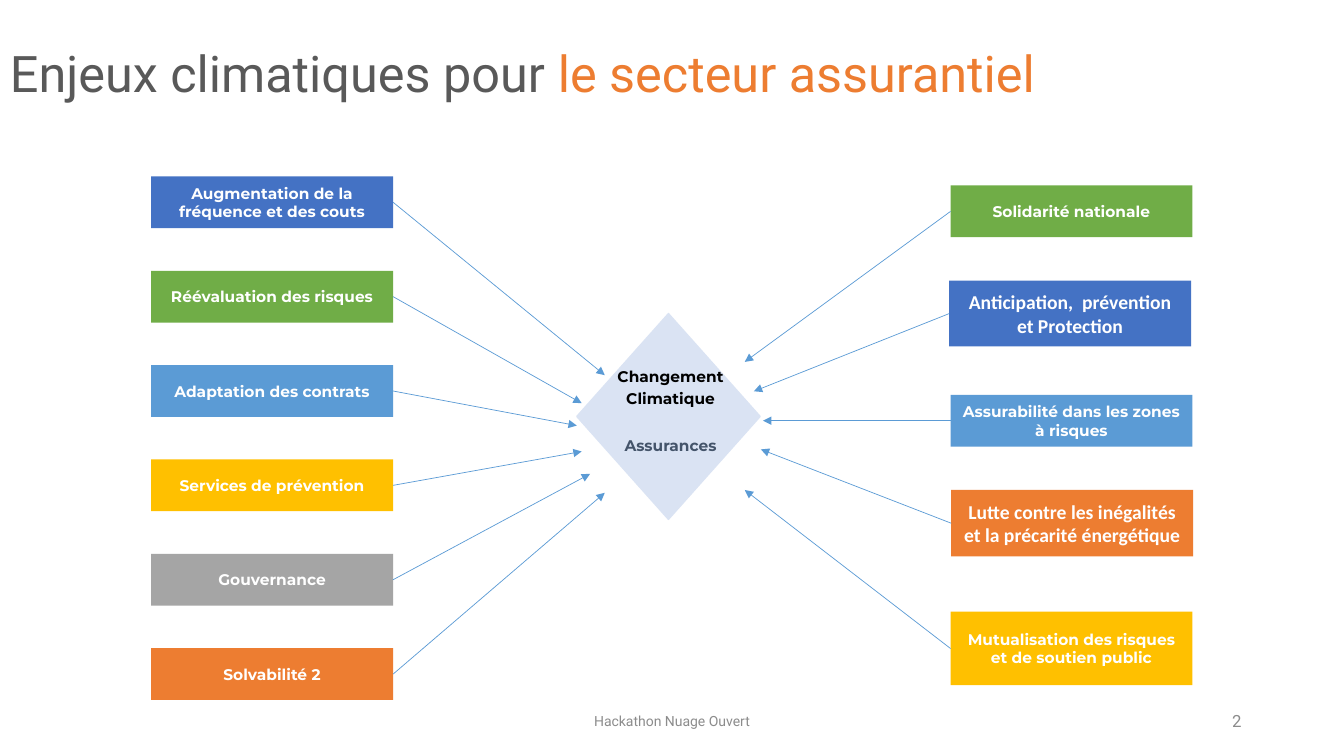
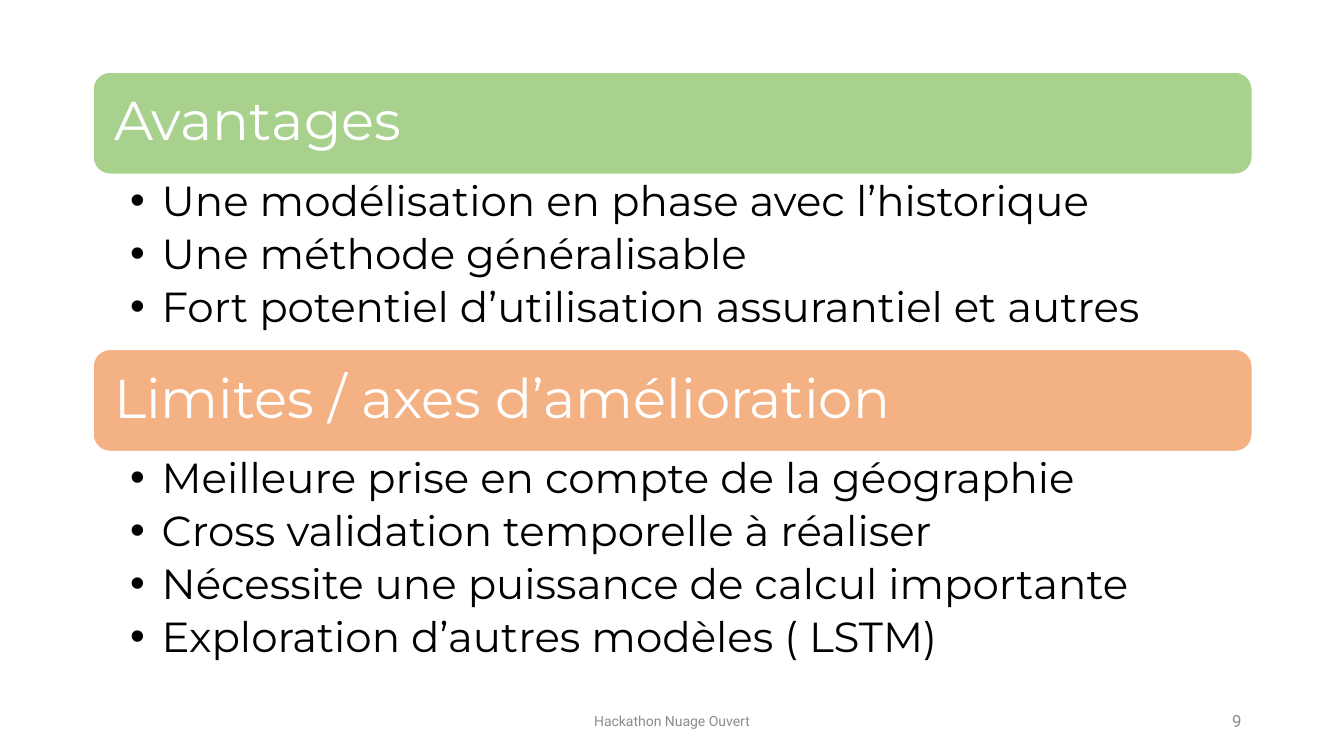
"""Build two slides on climate issues for the insurance sector."""
from lxml import etree
from pptx import Presentation
from pptx.dml.color import RGBColor
from pptx.enum.shapes import MSO_CONNECTOR, MSO_SHAPE
from pptx.enum.text import MSO_ANCHOR, PP_ALIGN
from pptx.oxml.ns import qn
from pptx.util import Pt

RECTANGLE, ROUNDED, DIAMOND = MSO_SHAPE.RECTANGLE, MSO_SHAPE.ROUNDED_RECTANGLE, MSO_SHAPE.DIAMOND
STRAIGHT = MSO_CONNECTOR.STRAIGHT
LEFT, CENTER, RIGHT = PP_ALIGN.LEFT, PP_ALIGN.CENTER, PP_ALIGN.RIGHT
TOP, MIDDLE = MSO_ANCHOR.TOP, MSO_ANCHOR.MIDDLE
LEFT_SIDE, RIGHT_SIDE = 1, 3

COLORS = {
    "white": "FFFFFF", "black": "000000", "title": "595959", "footer": "8C8C8C",
    "blue": "4472C4", "green": "70AD47", "sky": "5B9BD5", "yellow": "FFC000",
    "gray": "A5A5A5", "orange": "ED7D31", "pale_blue": "DAE3F3", "slate": "44546A",
    "light_green": "A9D18E", "light_orange": "F4B183",
}
BODY_FONT, TITLE_FONT, ALTERNATE_FONT = "Montserrat", "Roboto", "Calibri"
FOOTER = "Hackathon Nuage Ouvert"

BOX_WIDTH, BOX_HEIGHT = 172.8, 37
LEFT_BOX_LEFT, LEFT_BOX_TOP, LEFT_BOX_STEP = 108, 126, 67.4
LEFT_BOXES = [
    ("Augmentation de la fréquence et des couts", "blue", (432, 268)),
    ("Réévaluation des risques", "green", (415.5, 288)),
    ("Adaptation des contrats", "sky", (412, 304)),
    ("Services de prévention", "yellow", (415.5, 322.5)),
    ("Gouvernance", "gray", (421.5, 338.5)),
    ("Solvabilité 2", "orange", (432, 352)),
]
BOLD_LABEL = {"font": BODY_FONT, "size": 11}
LARGE_LABEL = {"font": ALTERNATE_FONT, "size": 14}
RIGHT_BOXES = [
    ("Solidarité nationale", "green", (679, 132.5, 37), (532, 258.5), BOLD_LABEL),
    ("Anticipation,  prévention et Protection", "blue", (678, 200.5, 47), (538.5, 279.5), LARGE_LABEL),
    ("Assurabilité dans les zones à risques", "sky", (679, 282, 37), (545, 300.5), BOLD_LABEL),
    ("Lutte contre les inégalités et la précarité énergétique", "orange", (679.5, 350, 47.5),
     (543.5, 321), LARGE_LABEL),
    ("Mutualisation des risques et de soutien public", "yellow", (679, 437, 52.5), (532, 350), BOLD_LABEL),
]

BAND_LEFT, BAND_TOP, BAND_WIDTH, BAND_HEIGHT, BAND_STEP = 66.5, 51.5, 828, 73, 198
SECTIONS = [
    ("Avantages", "light_green", [
        "Une modélisation en phase avec l’historique",
        "Une méthode généralisable",
        "Fort potentiel d’utilisation assurantiel et autres",
    ]),
    ("Limites / axes d’amélioration", "light_orange", [
        "Meilleure prise en compte de la géographie",
        "Cross validation temporelle à réaliser",
        "Nécessite une puissance de calcul importante",
        "Exploration d’autres modèles ( LSTM)",
    ]),
]


def rgb(name):
    return RGBColor.from_string(COLORS[name])


def add_bullet(paragraph, indent):
    properties = paragraph._p.get_or_add_pPr()
    properties.set("marL", str(Pt(indent)))
    properties.set("indent", str(-Pt(indent)))
    etree.SubElement(properties, qn("a:buFont")).set("typeface", "Arial")
    etree.SubElement(properties, qn("a:buChar")).set("char", "•")


def write_text(shape, paragraphs, *, size, font=BODY_FONT, color="black", bold=False, align=LEFT,
               anchor=MIDDLE, insets=(7.2, 3.6, 7.2, 3.6), line_spacing=1.0, before=0, after=0,
               bullet_indent=0):
    frame = shape.text_frame
    frame.word_wrap = True
    frame.vertical_anchor = anchor
    frame.margin_left, frame.margin_top, frame.margin_right, frame.margin_bottom = map(Pt, insets)
    for index, content in enumerate(paragraphs):
        paragraph = frame.add_paragraph() if index else frame.paragraphs[0]
        paragraph.alignment = align
        paragraph.line_spacing = line_spacing
        paragraph.space_before = Pt(before if index else 0)
        paragraph.space_after = Pt(after)
        if bullet_indent:
            add_bullet(paragraph, bullet_indent)
        runs = [(content, color)] if isinstance(content, str) else content
        for text, run_color in runs:
            run = paragraph.add_run()
            run.text = text
            run.font.name, run.font.size, run.font.bold = font, Pt(size), bold
            run.font.color.rgb = rgb(run_color)


def add_text(slide, box, paragraphs, **text_format):
    write_text(slide.shapes.add_textbox(*map(Pt, box)), paragraphs, **text_format)


def add_block(slide, kind, box, fill, line=None):
    shape = slide.shapes.add_shape(kind, *map(Pt, box))
    shape.shadow.inherit = False
    shape.fill.solid()
    shape.fill.fore_color.rgb = rgb(fill)
    if line:
        shape.line.color.rgb = rgb(line)
        shape.line.width = Pt(1)
    else:
        shape.line.fill.background()
    return shape


def add_arrow(slide, box, side, target):
    start_x = box.left + (box.width if side == RIGHT_SIDE else 0)
    start_y = box.top + box.height // 2
    arrow = slide.shapes.add_connector(STRAIGHT, start_x, start_y, *map(Pt, target))
    arrow.begin_connect(box, side)
    arrow.line.color.rgb = rgb("sky")
    arrow.line.width = Pt(0.5)
    etree.SubElement(arrow.line._get_or_add_ln(), qn("a:tailEnd")).set("type", "triangle")
    etree.SubElement(arrow._element.spPr, qn("a:effectLst"))


def add_issue(slide, text, color, box, side, target, label):
    shape = add_block(slide, RECTANGLE, box, color)
    write_text(shape, [text], color="white", bold=True, align=CENTER, **label)
    add_arrow(slide, shape, side, target)


def add_section(slide, top, heading, color, items):
    band = add_block(slide, ROUNDED, (BAND_LEFT, top, BAND_WIDTH, BAND_HEIGHT), color, "white")
    write_text(band, [heading], size=39, color="white", line_spacing=0.9, insets=(11.5,) * 4)
    add_text(slide, (BAND_LEFT, top + BAND_HEIGHT + 0.5, BAND_WIDTH, 41 * len(items)), items,
             size=30, anchor=TOP, line_spacing=0.9, after=5.4, bullet_indent=22.5,
             insets=(26.5, 3.6, 21.5, 3.6))


def add_slide(presentation, number):
    slide = presentation.slides.add_slide(presentation.slide_layouts[6])
    add_text(slide, (318, 500.5, 324, 28.8), [FOOTER], size=10, font=TITLE_FONT, color="footer", align=CENTER)
    add_text(slide, (678, 500.5, 216, 28.8), [number], size=12, font=TITLE_FONT, color="footer", align=RIGHT)
    return slide


def build_issues(presentation):
    slide = add_slide(presentation, "2")
    title = [("Enjeux climatiques pour ", "title"), ("le secteur assurantiel", "orange")]
    add_text(slide, (0, 2, 767, 104.5), [title], size=36, font=TITLE_FONT, line_spacing=0.9)
    add_block(slide, DIAMOND, (412, 224, 131, 147), "pale_blue", "pale_blue")
    center_format = {"size": 11, "bold": True, "align": CENTER, "anchor": TOP}
    add_text(slide, (431, 259, 96, 37), ["Changement", "Climatique"], before=2.2, **center_format)
    add_text(slide, (431, 308, 96, 21), ["Assurances"], color="slate", **center_format)
    for index, (text, color, target) in enumerate(LEFT_BOXES):
        box = (LEFT_BOX_LEFT, LEFT_BOX_TOP + index * LEFT_BOX_STEP, BOX_WIDTH, BOX_HEIGHT)
        add_issue(slide, text, color, box, RIGHT_SIDE, target, BOLD_LABEL)
    for text, color, (left, top, height), target, label in RIGHT_BOXES:
        add_issue(slide, text, color, (left, top, BOX_WIDTH, height), LEFT_SIDE, target, label)


def build_assessment(presentation):
    slide = add_slide(presentation, "9")
    for index, section in enumerate(SECTIONS):
        add_section(slide, BAND_TOP + index * BAND_STEP, *section)


def main():
    presentation = Presentation()
    presentation.slide_width, presentation.slide_height = Pt(960), Pt(540)
    build_issues(presentation)
    build_assessment(presentation)
    presentation.save("out.pptx")


if __name__ == "__main__":
    main()
